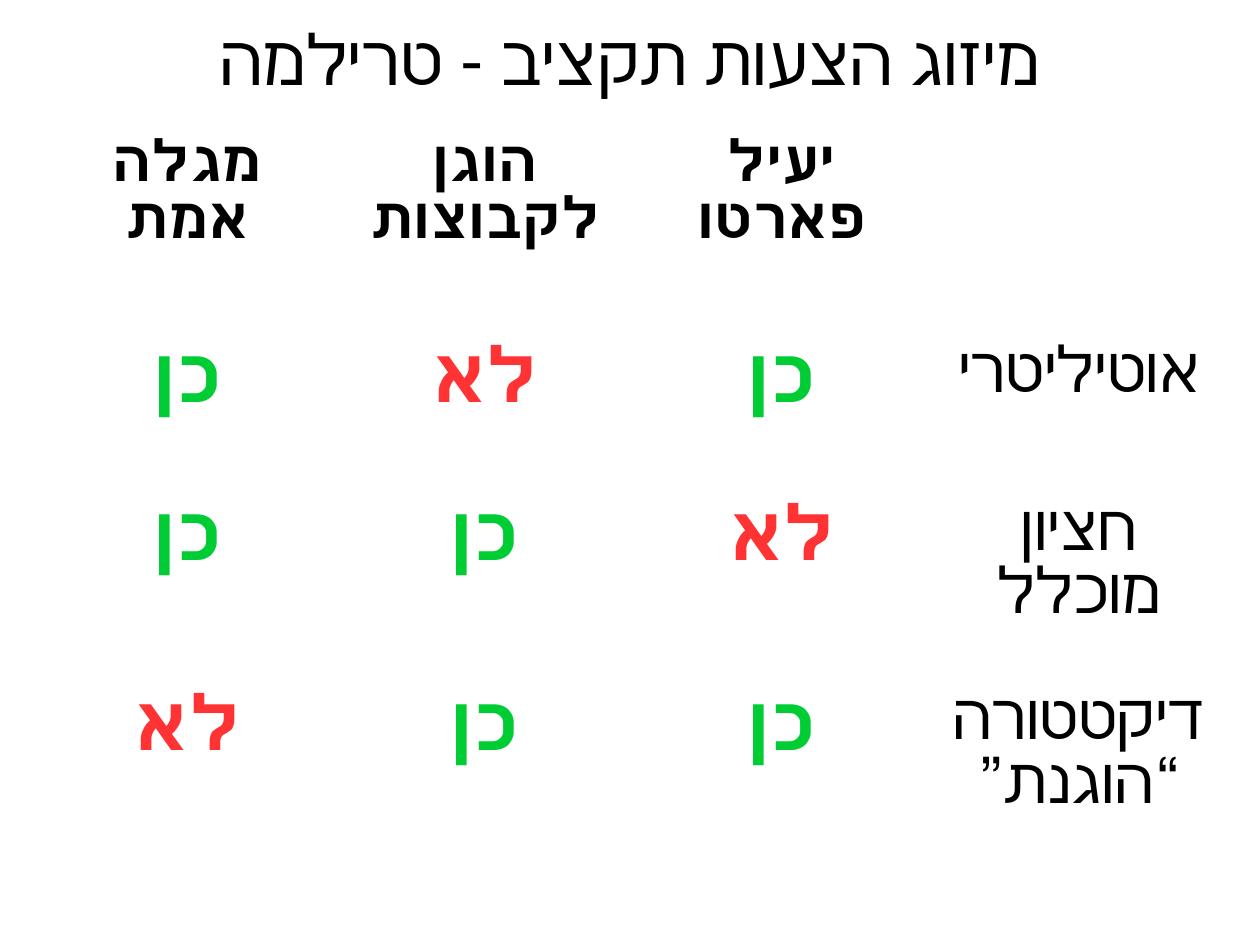
"""Build a slide with a table of budget-merging rules and the properties they meet."""
from dataclasses import dataclass

from pptx import Presentation
from pptx.dml.color import RGBColor
from pptx.enum.text import MSO_ANCHOR, MSO_AUTO_SIZE, PP_ALIGN
from pptx.text.text import TextFrame
from pptx.util import Inches, Pt


@dataclass(frozen=True)
class Style:
    size: int
    color: str = "000000"
    bold: bool = False


@dataclass(frozen=True)
class Theme:
    font: str = "Roboto"
    title: Style = Style(44)
    head: Style = Style(36, bold=True)
    rule: Style = Style(40)
    yes: Style = Style(48, "00CC33", True)
    no: Style = Style(48, "FF3333", True)


@dataclass(frozen=True)
class Rule:
    name: str
    marks: tuple[bool, bool, bool]
    height: float


THEME = Theme()
TITLE = "מיזוג הצעות תקציב - טרילמה"
HEADS = ("מגלה אמת", "הוגן לקבוצות", "יעיל פארטו")
RULES = (
    Rule("אוטיליטרי", (True, False, True), 1.38),
    Rule("חציון מוכלל", (True, True, False), 1.66),
    Rule("דיקטטורה “הוגנת”", (False, True, True), 1.66),
)
HEAD_HEIGHT = 1.8
COL_WIDTH = 2.6
WIDTH = Inches(28 / 2.54)
HEIGHT = Inches(21 / 2.54)


def write(frame: TextFrame, text: str, style: Style) -> None:
    """Put centred right-to-left text in a frame."""
    line = frame.paragraphs[0]
    line.alignment = PP_ALIGN.CENTER
    line._p.get_or_add_pPr().set("rtl", "1")
    run = line.add_run()
    run.text = text
    look = {"size": Pt(style.size), "bold": style.bold, "name": THEME.font}
    for key, value in look.items():
        setattr(run.font, key, value)
    run.font.color.rgb = RGBColor.from_string(style.color)
    run._r.get_or_add_rPr().set("lang", "he-IL")


def add_title(slide) -> None:
    """Set the title across the top of the slide."""
    title = slide.shapes.title
    place = {"left": 0, "top": 0, "width": WIDTH, "height": Inches(1)}
    for key, value in place.items():
        setattr(title, key, value)
    frame = title.text_frame
    form = {
        "margin_left": 0, "margin_right": 0, "margin_top": 0, "margin_bottom": 0,
        "vertical_anchor": MSO_ANCHOR.MIDDLE,
        "auto_size": MSO_AUTO_SIZE.NONE, "word_wrap": True,
    }
    for key, value in form.items():
        setattr(frame, key, value)
    write(frame, TITLE, THEME.title)


def add_grid(slide) -> None:
    """Draw the table of rules, with their names in the right column."""
    heights = [HEAD_HEIGHT, *(rule.height for rule in RULES)]
    cols = len(HEADS) + 1
    table = slide.shapes.add_table(
        len(heights), cols, Inches(0.34), Inches(1.14),
        Inches(COL_WIDTH * cols), Inches(sum(heights)),
    ).table
    table.first_row = table.horz_banding = False
    for col in table.columns:
        col.width = Inches(COL_WIDTH)
    for row, height in zip(table.rows, heights):
        row.height = Inches(height)
    for cell in table.iter_cells():
        cell.fill.background()
    for col, head in enumerate(HEADS):
        write(table.cell(0, col).text_frame, head, THEME.head)
    for row, rule in enumerate(RULES, 1):
        for col, mark in enumerate(rule.marks):
            text, style = ("כן", THEME.yes) if mark else ("לא", THEME.no)
            write(table.cell(row, col).text_frame, text, style)
        write(table.cell(row, cols - 1).text_frame, rule.name, THEME.rule)


def main() -> None:
    """Build and save the deck."""
    deck = Presentation()
    deck.slide_width = WIDTH
    deck.slide_height = HEIGHT
    deck.element.sldSz.attrib.pop("type", None)
    slide = deck.slides.add_slide(deck.slide_layouts[5])
    add_title(slide)
    add_grid(slide)
    deck.save("out.pptx")


if __name__ == "__main__":
    main()
